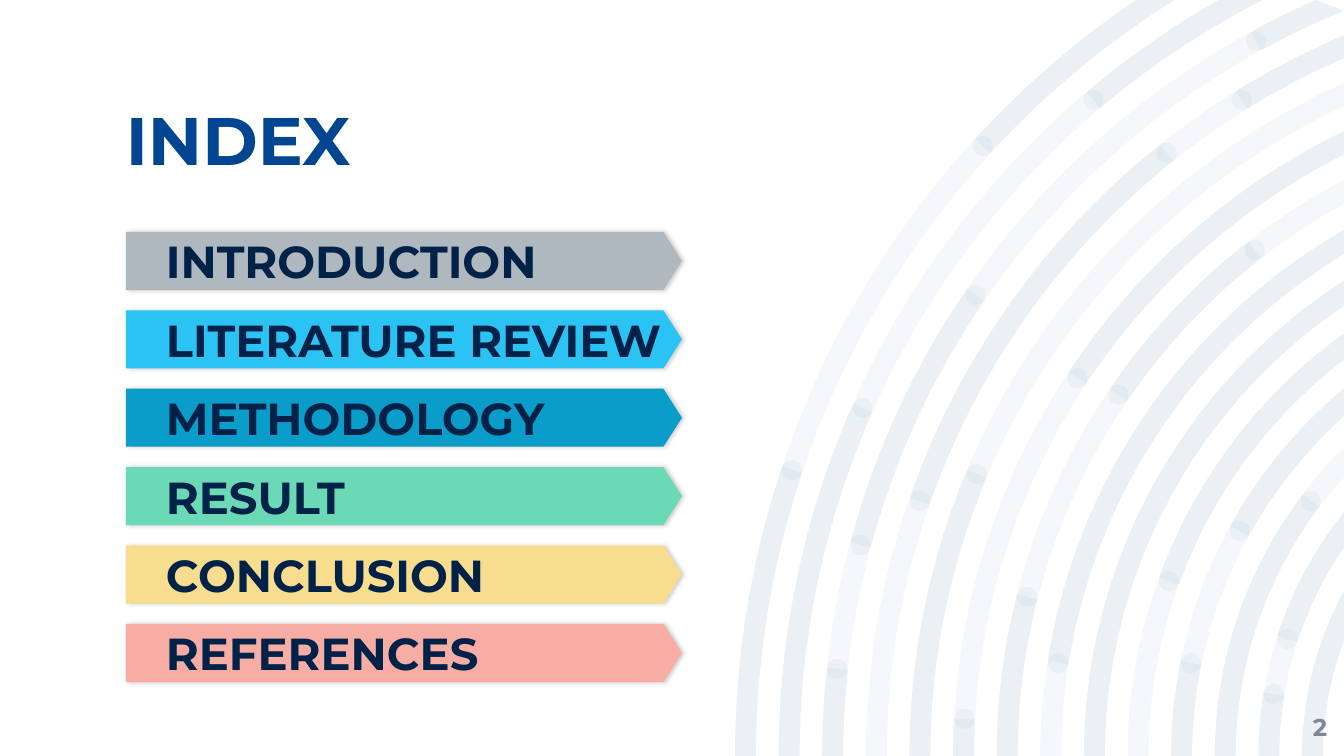
from math import acos, asin, cos, pi, sin, tan

from lxml import etree
from pptx import Presentation
from pptx.dml.color import RGBColor
from pptx.enum.shapes import MSO_SHAPE
from pptx.enum.text import MSO_ANCHOR, PP_ALIGN
from pptx.oxml.ns import qn
from pptx.util import Pt

PX = 914400 / 134.4
WIDE, HIGH = 1344, 756
FONT = "Montserrat"
PLATE = MSO_SHAPE.PENTAGON
MIDDLE, BOTTOM = MSO_ANCHOR.MIDDLE, MSO_ANCHOR.BOTTOM
LEFT, RIGHT = PP_ALIGN.LEFT, PP_ALIGN.RIGHT

BLUE = RGBColor(0x00, 0x45, 0x91)
NAVY = RGBColor(0x00, 0x22, 0x48)
SLATE = RGBColor(0x7C, 0x88, 0x94)

ITEMS = [
    ("INTRODUCTION", RGBColor(0xB0, 0xB8, 0xBF)),
    ("LITERATURE REVIEW", RGBColor(0x2A, 0xC3, 0xF3)),
    ("METHODOLOGY", RGBColor(0x0B, 0x9D, 0xCA)),
    ("RESULT", RGBColor(0x6B, 0xD8, 0xB6)),
    ("CONCLUSION", RGBColor(0xF8, 0xDD, 0x8F)),
    ("REFERENCES", RGBColor(0xF8, 0xAD, 0xA4)),
]

# Heights where the dark stretches of each ring start and stop, outermost first
BASE, EDGE = HIGH, None
STOPS = [
    (BASE, 470, 146, EDGE),
    (BASE, 408, 100, EDGE),
    (BASE, 669, 545, 295, 41, EDGE),
    (501, 153, 100, EDGE),
    (BASE, 474),
    (BASE, 719, 378, EDGE),
    (BASE, 597, 395, 250),
    (663, EDGE),
    (BASE, EDGE),
    (581, EDGE),
    (BASE, 663, 531, EDGE),
    (BASE, 501),
    (BASE, 694, 639, EDGE),
    (BASE, EDGE),
]
OUTER, INNER, BAND, DOT = 913, 346, 21, 10


def emu(*lengths):
    return [round(n * PX) for n in lengths]


def write(shape, text, size, color, anchor, align=LEFT, inset=0, spacing=1.0):
    frame = shape.text_frame
    formats = {"word_wrap": True, "vertical_anchor": anchor,
               "margin_left": round(inset * PX), "margin_top": 0,
               "margin_right": 0, "margin_bottom": 0}
    for name, value in formats.items():
        setattr(frame, name, value)
    para = frame.paragraphs[0]
    para.alignment, para.line_spacing = align, spacing
    run = para.add_run()
    run.text = text
    for name, value in {"name": FONT, "size": Pt(size), "bold": True}.items():
        setattr(run.font, name, value)
    run.font.color.rgb = color


def label(slide, box, *args, **formats):
    write(slide.shapes.add_textbox(*emu(*box)), *args, **formats)


def arc(x, y, radius, start, end):
    """Four Bezier points; angles run clockwise from the left."""
    pull = radius * 4 / 3 * tan((end - start) / 4)
    x1, y1 = x - radius * cos(start), y - radius * sin(start)
    x2, y2 = x - radius * cos(end), y - radius * sin(end)
    return [(x1, y1),
            (x1 + pull * sin(start), y1 - pull * cos(start)),
            (x2 - pull * sin(end), y2 + pull * cos(end)),
            (x2, y2)]


def bend(shape):
    """Turn each run of three lines that follows an arc's start into a curve."""
    count = 0
    for step in list(shape._element.iter(qn("a:moveTo"), qn("a:lnTo"))):
        count = 0 if step.tag == qn("a:moveTo") else count + 1
        place = count % 4
        if place == 1:
            step.tag = qn("a:cubicBezTo")
            curve = step
        elif place > 1:
            curve.append(step[0])
            step.getparent().remove(step)


def tint(slide, loops):
    """Draw closed loops of arcs as one shape filled with 4% blue."""
    pen = None
    for loop in loops:
        points = [emu(*point) for point in loop]
        if pen:
            pen.move_to(*points[0])
        else:
            pen = slide.shapes.build_freeform(*points[0], scale=1.0)
        pen.add_line_segments(points[1:], close=False)
    shape = pen.convert_to_shape()
    bend(shape)
    shape.shadow.inherit = False
    shape.line.fill.background()
    shape.fill.solid()
    shape.fill.fore_color.rgb = BLUE
    color = shape._element.spPr.find(qn("a:solidFill"))[0]
    etree.SubElement(color, qn("a:alpha"), val="4000")


def rings(slide, box):
    """Concentric rings, cut off at the top and right sides of the box."""
    left, top, width, height = box
    hub, foot = left + OUTER, top + height
    gap = (OUTER - INNER) / (len(STOPS) - 1)

    def turn(radius, y):
        if y is not EDGE:
            return asin((foot - y) / radius)
        side = acos((OUTER - width) / radius)
        return min(side, asin(min(1, height / radius)))

    def band(radius, start, stop):
        mid, inner = radius - BAND / 2, radius - BAND
        first = turn(mid, start)
        out, back = [turn(r if stop is EDGE else mid, stop)
                     for r in (radius, inner)]
        return (arc(hub, foot, radius, first, out)
                + arc(hub, foot, inner, back, first))

    def dot(mid, y):
        x = hub - mid * cos(turn(mid, y))
        return arc(x, y, DOT, 0, pi) + arc(x, y, DOT, pi, 2 * pi)

    full, dark, dots = [], [], []
    for i, stops in enumerate(STOPS):
        radius = OUTER - gap * i
        full.append(band(radius, BASE, EDGE))
        dark += [band(radius, *pair) for pair in zip(stops[::2], stops[1::2])]
        dots += [dot(radius - BAND / 2, y) for y in stops
                 if y not in (BASE, EDGE)]
    for loops in (full, dark, dots):
        tint(slide, loops)


def plate(slide, box, text, color):
    shape = slide.shapes.add_shape(PLATE, *emu(*box))
    shape.adjustments[0] = 0.32
    shape.fill.solid()
    shape.fill.fore_color.rgb = color
    shape.line.fill.background()
    shape.shadow.inherit = False
    effects = shape._element.spPr.find(qn("a:effectLst"))
    shadow = etree.SubElement(effects, qn("a:outerShdw"), blurRad="28575",
                              dist="9525", dir="0", rotWithShape="0")
    black = etree.SubElement(shadow, qn("a:srgbClr"), val="000000")
    etree.SubElement(black, qn("a:alpha"), val="20000")
    write(shape, text, 24, NAVY, MIDDLE, inset=40)


def index(slide, box):
    """Stack the items evenly over the height of the box."""
    left, top, width, height = box
    deep = 58
    step = (height - deep) / (len(ITEMS) - 1)
    for i, (text, color) in enumerate(ITEMS):
        plate(slide, (left, top + step * i, width, deep), text, color)


def main():
    deck = Presentation()
    deck.slide_width, deck.slide_height = emu(WIDE, HIGH)
    slide = deck.slides.add_slide(deck.slide_layouts[6])
    rings(slide, (735, 0, WIDE - 735, HIGH))
    label(slide, (126, 122, 1093, 58), "INDEX", 36, BLUE, BOTTOM, spacing=0.9)
    label(slide, (1246, 698, 81, 58), "2", 13, SLATE, MIDDLE, align=RIGHT)
    index(slide, (126, 232, 556, 450))
    deck.save("out.pptx")


if __name__ == "__main__":
    main()
